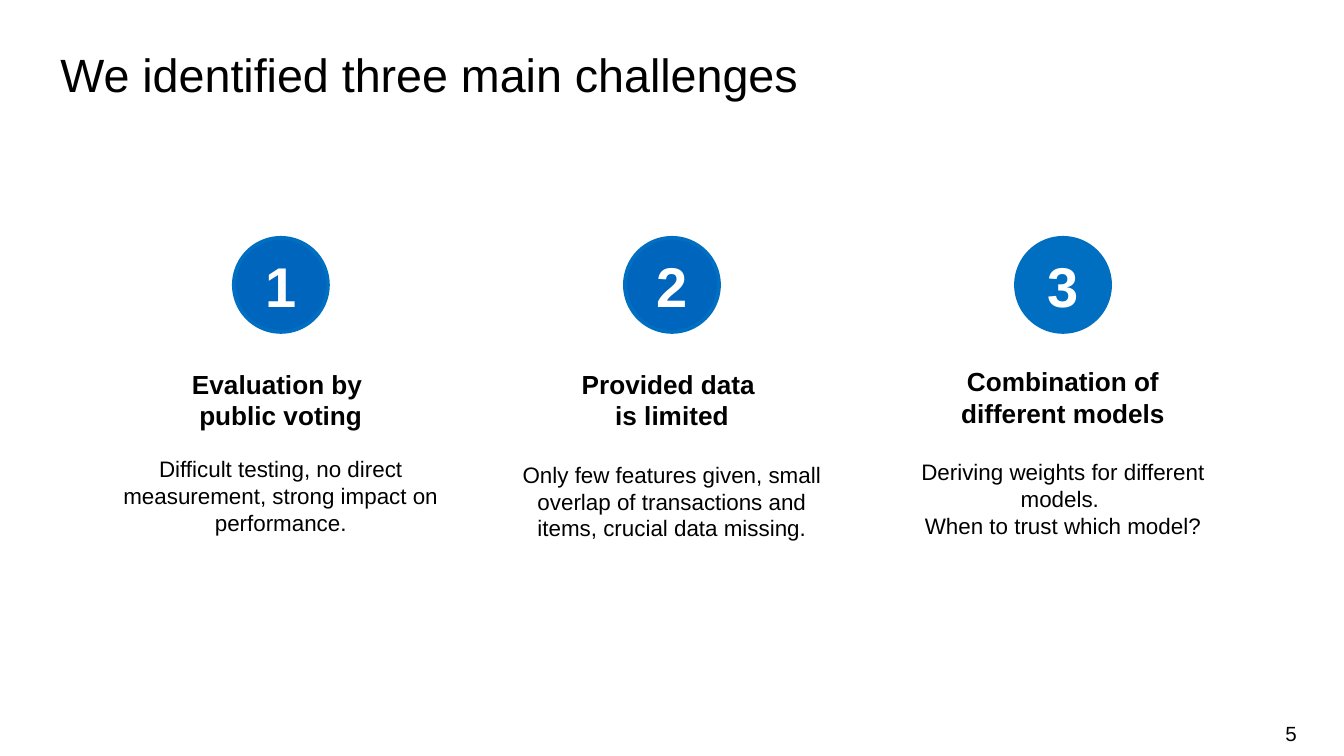
from pptx import Presentation
from pptx.dml.color import RGBColor
from pptx.enum.shapes import MSO_SHAPE
from pptx.enum.text import MSO_ANCHOR, MSO_AUTO_SIZE, PP_ALIGN
from pptx.util import Inches, Pt

BLACK = RGBColor(0x00, 0x00, 0x00)
WHITE = RGBColor(0xFF, 0xFF, 0xFF)
BLUE = RGBColor(0x00, 0x65, 0xBD)
LIGHT_BLUE = RGBColor(0x00, 0x6F, 0xC2)

WIDTH = 10
HEIGHT = WIDTH * 9 / 16
COLUMN_WIDTH, COLUMN_PITCH = 2.36, 2.91
COLUMN_TOP = 1.77
CIRCLE_SIZE = 0.7

# Heading lines, body lines, circle fill, text offset, gap above the body
CHALLENGES = [
    (["Evaluation by\u00a0", "public voting"],
     ["Difficult testing, no direct measurement, strong impact on performance."],
     BLUE, 0.97, 13),
    (["Provided data ", "is limited"],
     ["Only few features given, small overlap of transactions and items, "
      "crucial data missing."],
     BLUE, 0.97, 16),
    (["Combination of", "different models"],
     ["Deriving weights for different models.\u00a0", "When to trust which model?"],
     LIGHT_BLUE, 0.95, 16),
]


def set_frame(frame, left=0, top=0, right=0, bottom=0, anchor=MSO_ANCHOR.TOP):
    """Set wrapping, insets in inches and the vertical anchor."""
    frame.word_wrap = True
    frame.auto_size = MSO_AUTO_SIZE.NONE
    frame.margin_left, frame.margin_right = Inches(left), Inches(right)
    frame.margin_top, frame.margin_bottom = Inches(top), Inches(bottom)
    frame.vertical_anchor = anchor


def write(para, text, size, color=BLACK, bold=False, align=PP_ALIGN.CENTER):
    para.text = text
    para.alignment = align
    font = para.font
    font.name, font.size, font.bold = "Arial", Pt(size), bold
    font.color.rgb = color


def add_title(page, text, left, top, width, height):
    title = page.shapes.title
    title.left, title.top = Inches(left), Inches(top)
    title.width, title.height = Inches(width), Inches(height)
    set_frame(title.text_frame, left=0.1, right=0.1, bottom=0.05)
    write(title.text_frame.paragraphs[0], text, 25, align=PP_ALIGN.LEFT)


def add_page_number(page, number, left, top, width, height):
    box = page.shapes.add_textbox(Inches(left), Inches(top), Inches(width), Inches(height))
    set_frame(box.text_frame, top=0.05, bottom=0.05, anchor=MSO_ANCHOR.MIDDLE)
    write(box.text_frame.paragraphs[0], str(number), 11, align=PP_ALIGN.RIGHT)


def add_circle(page, number, fill, left, top, size):
    circle = page.shapes.add_shape(
        MSO_SHAPE.OVAL, Inches(left), Inches(top), Inches(size), Inches(size))
    circle.shadow.inherit = False
    circle.fill.solid()
    circle.fill.fore_color.rgb = fill
    circle.line.color.rgb = LIGHT_BLUE
    circle.line.width = Pt(2)
    set_frame(circle.text_frame, 0.1, 0.05, 0.1, 0.05, MSO_ANCHOR.MIDDLE)
    write(circle.text_frame.paragraphs[0], str(number), 30, WHITE, bold=True)


def add_challenge(page, number, challenge, left, top, width):
    """Place a numbered circle with its heading and body centred below it."""
    heading, body, fill, text_offset, gap = challenge
    add_circle(page, number, fill, left + (width - CIRCLE_SIZE) / 2, top, CIRCLE_SIZE)
    box = page.shapes.add_textbox(
        Inches(left), Inches(top + text_offset), Inches(width), Inches(0.56))
    frame = box.text_frame
    set_frame(frame)
    for index, text in enumerate(heading + body):
        para = frame.add_paragraph() if index else frame.paragraphs[0]
        is_heading = index < len(heading)
        write(para, text, 14 if is_heading else 12, bold=is_heading)
        if index == len(heading):
            para.space_before = Pt(gap)


def main():
    deck = Presentation()
    deck.slide_width, deck.slide_height = Inches(WIDTH), Inches(HEIGHT)
    page = deck.slides.add_slide(deck.slide_layouts[5])
    add_title(page, "We identified three main challenges", 0.35, 0.34, 9.31, 0.45)
    first_left = (WIDTH - COLUMN_WIDTH) / 2 - COLUMN_PITCH
    for column, challenge in enumerate(CHALLENGES):
        left = first_left + column * COLUMN_PITCH
        add_challenge(page, column + 1, challenge, left, COLUMN_TOP, COLUMN_WIDTH)
    add_page_number(page, 5, 7.41, 5.31, 2.24, 0.3)
    deck.save("out.pptx")


if __name__ == "__main__":
    main()
